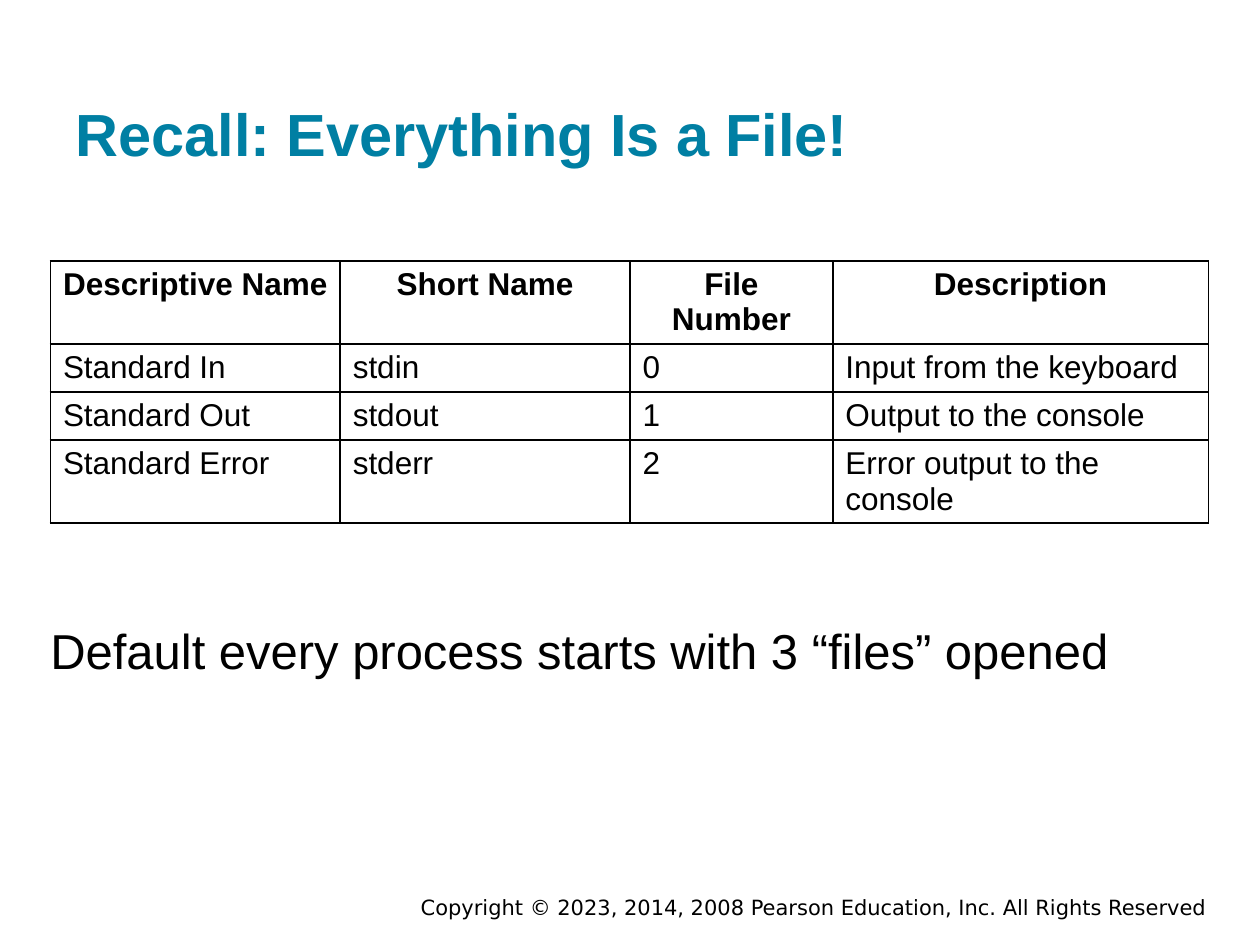
import pptx
import pptx.dml.color
import pptx.enum.text
import pptx.oxml
import pptx.oxml.ns
import pptx.util
from pptx.util import Inches

BLACK = pptx.dml.color.RGBColor(0x00, 0x00, 0x00)
TEAL = pptx.dml.color.RGBColor(0x00, 0x7F, 0xA3)
WHITE = pptx.dml.color.RGBColor(0xFF, 0xFF, 0xFF)
ALIGN = pptx.enum.text.PP_ALIGN
ANCHOR = pptx.enum.text.MSO_ANCHOR
AUTO_SIZE = pptx.enum.text.MSO_AUTO_SIZE

COLUMN_WIDTHS = [2.3, 2.3, 1.61, 2.98]
ROW_HEIGHT = 0.3
STREAMS = [
    ["Descriptive Name", "Short Name", "File Number", "Description"],
    ["Standard In", "stdin", "0", "Input from the keyboard"],
    ["Standard Out", "stdout", "1", "Output to the console"],
    ["Standard Error", "stderr", "2", "Error output to the console"],
]


def write(tf, text, size, font="Arial", color=BLACK, bold=False, align=ALIGN.LEFT):
    p = tf.paragraphs[0]
    p.alignment = align
    r = p.add_run()
    r.text = text
    r.font.name = font
    r.font.size = pptx.util.Pt(size)
    r.font.bold = bold
    r.font.color.rgb = color


def set_margins(tf, horizontal, vertical):
    tf.margin_left = tf.margin_right = Inches(horizontal)
    tf.margin_top = tf.margin_bottom = Inches(vertical)


def add_title(s, left, top, width, height, text):
    sp = s.shapes.title
    sp.left, sp.top = Inches(left), Inches(top)
    sp.width, sp.height = Inches(width), Inches(height)
    tf = sp.text_frame
    tf.auto_size = AUTO_SIZE.NONE
    tf.vertical_anchor = ANCHOR.BOTTOM
    set_margins(tf, 0.1, 0.1)
    write(tf, text, 34, color=TEAL, bold=True)


def add_line_of_text(s, left, top, width, height, text, size, **style):
    sp = s.shapes.add_textbox(Inches(left), Inches(top), Inches(width), Inches(height))
    tf = sp.text_frame
    tf.word_wrap = True
    tf.auto_size = AUTO_SIZE.SHAPE_TO_FIT_TEXT
    tf.vertical_anchor = ANCHOR.MIDDLE
    set_margins(tf, 0, 0.02)
    write(tf, text, size, **style)


def format_cell(cell):
    """Give the cell a white fill and thin black borders."""
    cell.fill.solid()
    cell.fill.fore_color.rgb = WHITE
    tc_pr = cell._tc.get_or_add_tcPr()
    for i, side in enumerate(("lnL", "lnR", "lnT", "lnB")):
        tc_pr.insert(i, pptx.oxml.parse_xml(
            f'<a:{side} {pptx.oxml.ns.nsdecls("a")} w="{pptx.util.Pt(1)}">'
            f'<a:solidFill><a:srgbClr val="{BLACK}"/></a:solidFill></a:{side}>'))


def add_stream_table(s, left, top):
    width, height = sum(COLUMN_WIDTHS), ROW_HEIGHT * len(STREAMS)
    table = s.shapes.add_table(len(STREAMS), len(COLUMN_WIDTHS), Inches(left),
                               Inches(top), Inches(width), Inches(height)).table
    for column, column_width in zip(table.columns, COLUMN_WIDTHS):
        column.width = Inches(column_width)
    for i, row in enumerate(STREAMS):
        is_header = i == 0
        for j, text in enumerate(row):
            cell = table.cell(i, j)
            format_cell(cell)
            write(cell.text_frame, text, 18, bold=is_header,
                  align=ALIGN.CENTER if is_header else ALIGN.LEFT)


def main():
    prs = pptx.Presentation()
    prs.slide_width, prs.slide_height = Inches(10), Inches(7.5)
    s = prs.slides.add_slide(prs.slide_layouts.get_by_name("Title Only"))
    add_title(s, 0.5, 0.24, 9, 1.2, "Recall: Everything Is a File!")
    add_stream_table(s, 0.4, 2.07)
    add_line_of_text(s, 0.4, 4.9, 9.1, 0.51,
                     "Default every process starts with 3 “files” opened", 28)
    add_line_of_text(s, 2.37, 7.08, 7.21, 0.24,
                     "Copyright © 2023, 2014, 2008 Pearson Education, Inc. All Rights Reserved",
                     12, font="DejaVu Sans", align=ALIGN.RIGHT)
    prs.save("out.pptx")


if __name__ == "__main__":
    main()
